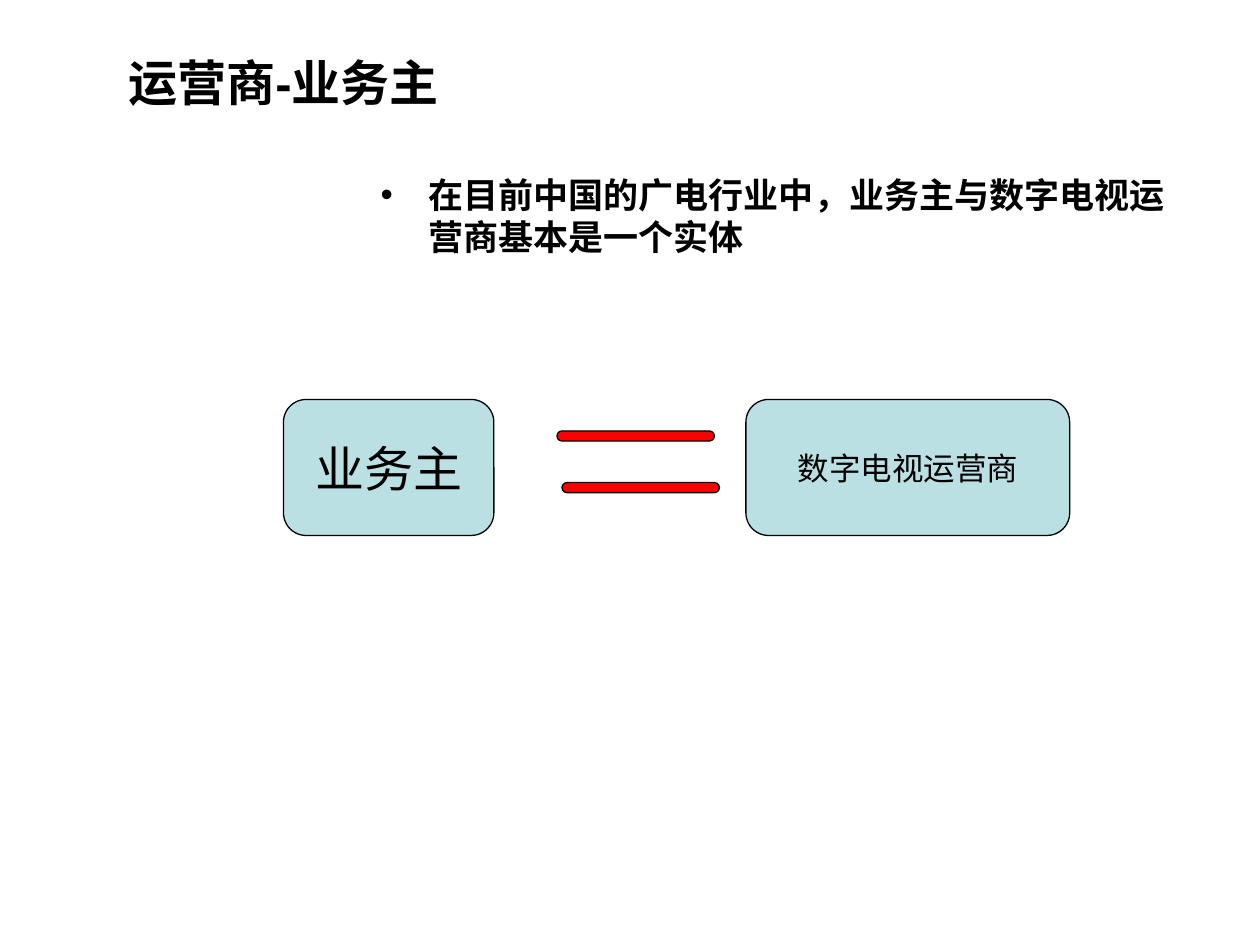
from pptx import Presentation
from pptx.dml.color import RGBColor
from pptx.enum.shapes import MSO_SHAPE
from pptx.enum.text import MSO_ANCHOR, MSO_AUTO_SIZE, PP_ALIGN
from pptx.util import Inches, Pt

BLACK = RGBColor(0x00, 0x00, 0x00)
PALE_BLUE = RGBColor(0xBB, 0xE0, 0xE3)
RED = RGBColor(0xFF, 0x00, 0x00)


def write_text(shape, text, size, bold, alignment, anchor, font_name="Arial"):
    frame = shape.text_frame
    frame.text = text
    frame.auto_size = MSO_AUTO_SIZE.NONE
    frame.vertical_anchor = anchor
    paragraph = frame.paragraphs[0]
    paragraph.alignment = alignment
    paragraph.space_before = Pt(0)
    paragraph.font.name = font_name
    paragraph.font.size = Pt(size)
    paragraph.font.bold = bold
    paragraph.font.color.rgb = BLACK
    return paragraph


def add_rounded_box(left, top, width, height, color, corner):
    shape = slide.shapes.add_shape(
        MSO_SHAPE.ROUNDED_RECTANGLE,
        Inches(left), Inches(top), Inches(width), Inches(height))
    shape.adjustments[0] = corner
    shape.shadow.inherit = False
    shape.fill.solid()
    shape.fill.fore_color.rgb = color
    shape.line.color.rgb = BLACK
    shape.line.width = Pt(0.75)
    return shape


presentation = Presentation()
presentation.slide_width = Inches(10)
presentation.slide_height = Inches(7.5)
slide = presentation.slides.add_slide(presentation.slide_layouts[1])

title = slide.shapes.title
title.left, title.top = Inches(0.92), Inches(0.25)
title.width, title.height = Inches(8.58), Inches(0.8)
write_text(title, "运营商-业务主", 28, True, PP_ALIGN.LEFT, MSO_ANCHOR.MIDDLE)

body = slide.placeholders[1]
body.left, body.top = Inches(2.92), Inches(1.33)
body.width, body.height = Inches(6.58), Inches(1.84)
bullet = write_text(
    body, "在目前中国的广电行业中，业务主与数字电视运营商基本是一个实体",
    20, True, PP_ALIGN.LEFT, MSO_ANCHOR.TOP, "Noto Sans CJK SC")
properties = bullet._p.get_or_add_pPr()
properties.set("marL", str(Inches(0.38)))
properties.set("indent", str(-Inches(0.38)))

for label, left, width, size in [("业务主", 2.25, 1.67, 28),
                                 ("数字电视运营商", 5.92, 2.57, 18)]:
    party = add_rounded_box(left, 3.17, width, 1.08, PALE_BLUE, 0.167)
    party.text_frame.word_wrap = False
    write_text(party, label, size, False, PP_ALIGN.CENTER, MSO_ANCHOR.MIDDLE)

for left, top in [(4.42, 3.42), (4.46, 3.83)]:
    add_rounded_box(left, top, 1.25, 0.08, RED, 0.5)

presentation.save("out.pptx")
